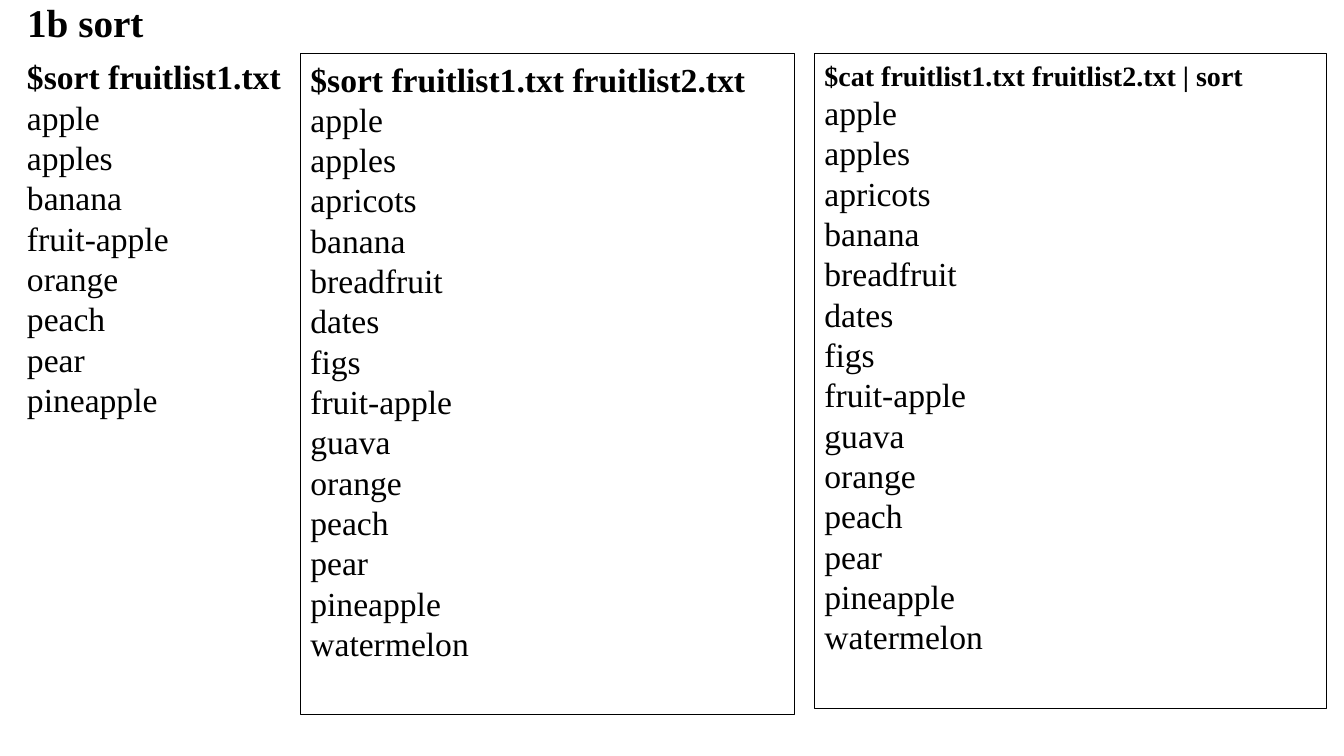
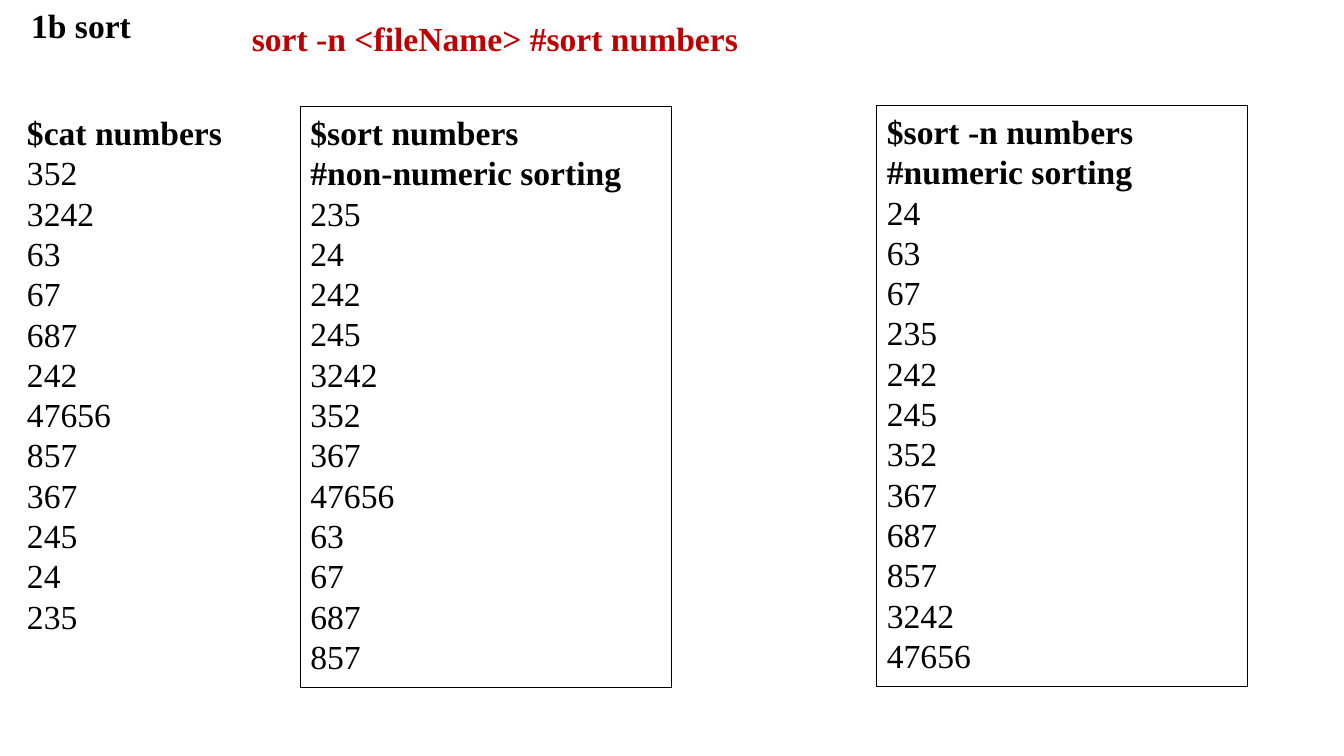
"""Build two slides that show how the sort command orders words and numbers."""
from dataclasses import dataclass
from typing import Sequence

from pptx import Presentation
from pptx.dml.color import RGBColor
from pptx.enum.shapes import MSO_SHAPE
from pptx.enum.text import MSO_ANCHOR, MSO_AUTO_SIZE, PP_ALIGN
from pptx.slide import Slide
from pptx.text.text import TextFrame
from pptx.util import Pt

RECTANGLE = MSO_SHAPE.RECTANGLE
TOP = MSO_ANCHOR.TOP
NO_FIT = MSO_AUTO_SIZE.NONE
LEFT = PP_ALIGN.LEFT

FONT = "Times New Roman"
BLACK, RED = "000000", "C00000"
BODY_SIZE = 24
SLIDE_WIDTH, SLIDE_HEIGHT = 960, 540
TITLE_LAYOUT = 5
TITLE = "1b sort"
FIRST_COLUMN, SECOND_COLUMN = 12.2, 214.6
FIRST_WIDTH = 203
NUMBERS_TOP, NUMBERS_WIDTH, NUMBERS_HEIGHT = 76.3, 265, 414.7

FRUIT_LIST_1 = ["apple", "apples", "banana", "fruit-apple",
                "orange", "peach", "pear", "pineapple"]
FRUIT_LIST_2 = ["apricots", "breadfruit", "dates", "figs", "guava", "watermelon"]
ALL_FRUIT = sorted(FRUIT_LIST_1 + FRUIT_LIST_2)
NUMBERS = ["352", "3242", "63", "67", "687", "242",
           "47656", "857", "367", "245", "24", "235"]


@dataclass(frozen=True)
class Area:
    """A rectangle on the slide, in points."""
    left: float
    top: float
    width: float
    height: float


@dataclass(frozen=True)
class Listing:
    """A command in bold with the lines it prints."""
    area: Area
    command: Sequence[str]
    output: Sequence[str] = ()
    framed: bool = False
    command_size: float = BODY_SIZE
    color: str = BLACK


@dataclass(frozen=True)
class SortPage:
    """The title and the listings of one slide."""
    title_area: Area
    title_size: float
    listings: Sequence[Listing]


PAGES = [
    SortPage(Area(12.2, -5, 98.6, 41), 28, [
        Listing(Area(FIRST_COLUMN, 36.7, FIRST_WIDTH, 269.3),
                ["$sort fruitlist1.txt"], sorted(FRUIT_LIST_1)),
        Listing(Area(SECOND_COLUMN, 38.2, 353, 472.3),
                ["$sort fruitlist1.txt fruitlist2.txt"], ALL_FRUIT, framed=True),
        Listing(Area(581.8, 38.2, 366, 468),
                ["$cat fruitlist1.txt fruitlist2.txt | sort"], ALL_FRUIT,
                framed=True, command_size=20),
    ]),
    SortPage(Area(15, 0, 86.4, 36), 24, [
        Listing(Area(FIRST_COLUMN, NUMBERS_TOP, FIRST_WIDTH, 385.2),
                ["$cat numbers"], NUMBERS),
        Listing(Area(SECOND_COLUMN, NUMBERS_TOP, NUMBERS_WIDTH, NUMBERS_HEIGHT),
                ["$sort numbers", "#non-numeric sorting"],
                sorted(NUMBERS), framed=True),
        Listing(Area(626.4, 75.6, NUMBERS_WIDTH, NUMBERS_HEIGHT),
                ["$sort -n numbers", "#numeric sorting"],
                sorted(NUMBERS, key=int), framed=True),
        Listing(Area(172.8, 9.4, 480, 36),
                ["sort -n <fileName> #sort numbers"], color=RED),
    ]),
]


def rgb(color: str) -> RGBColor:
    """Turn a hex string into a colour."""
    return RGBColor.from_string(color)


def prepare(frame: TextFrame, wrap: bool) -> None:
    """Start text at the top of a frame of fixed size."""
    frame.word_wrap = wrap
    frame.auto_size = NO_FIT
    frame.vertical_anchor = TOP


def add_line(frame: TextFrame, text: str, size: float, bold: bool,
             color: str = BLACK) -> None:
    """Write one left-aligned line after those already in the frame."""
    first = frame.paragraphs[0]
    paragraph = frame.add_paragraph() if first.runs else first
    paragraph.alignment = LEFT
    run = paragraph.add_run()
    run.text = text
    run.font.name = FONT
    run.font.size = Pt(size)
    run.font.bold = bold
    run.font.color.rgb = rgb(color)


def add_title(slide: Slide, area: Area, size: float) -> None:
    """Place and fill the title placeholder."""
    title = slide.shapes.title
    title.left, title.top = Pt(area.left), Pt(area.top)
    title.width, title.height = Pt(area.width), Pt(area.height)
    prepare(title.text_frame, wrap=False)
    add_line(title.text_frame, TITLE, size, bold=True)


def add_listing(slide: Slide, listing: Listing) -> None:
    """Draw a command and its output, framed if asked for."""
    area = listing.area
    place = (Pt(area.left), Pt(area.top), Pt(area.width), Pt(area.height))
    if listing.framed:
        panel = slide.shapes.add_shape(RECTANGLE, *place)
        panel.shadow.inherit = False
        panel.fill.background()
        panel.line.color.rgb = rgb(BLACK)
        panel.line.width = Pt(0.75)
    else:
        panel = slide.shapes.add_textbox(*place)
    prepare(panel.text_frame, wrap=True)
    for text in listing.command:
        add_line(panel.text_frame, text, listing.command_size, True, listing.color)
    for text in listing.output:
        add_line(panel.text_frame, text, BODY_SIZE, False, listing.color)


def main() -> None:
    """Build and save the presentation."""
    deck = Presentation()
    deck.slide_width, deck.slide_height = Pt(SLIDE_WIDTH), Pt(SLIDE_HEIGHT)
    for page in PAGES:
        slide = deck.slides.add_slide(deck.slide_layouts[TITLE_LAYOUT])
        add_title(slide, page.title_area, page.title_size)
        for listing in page.listings:
            add_listing(slide, listing)
    deck.save("out.pptx")


main()
